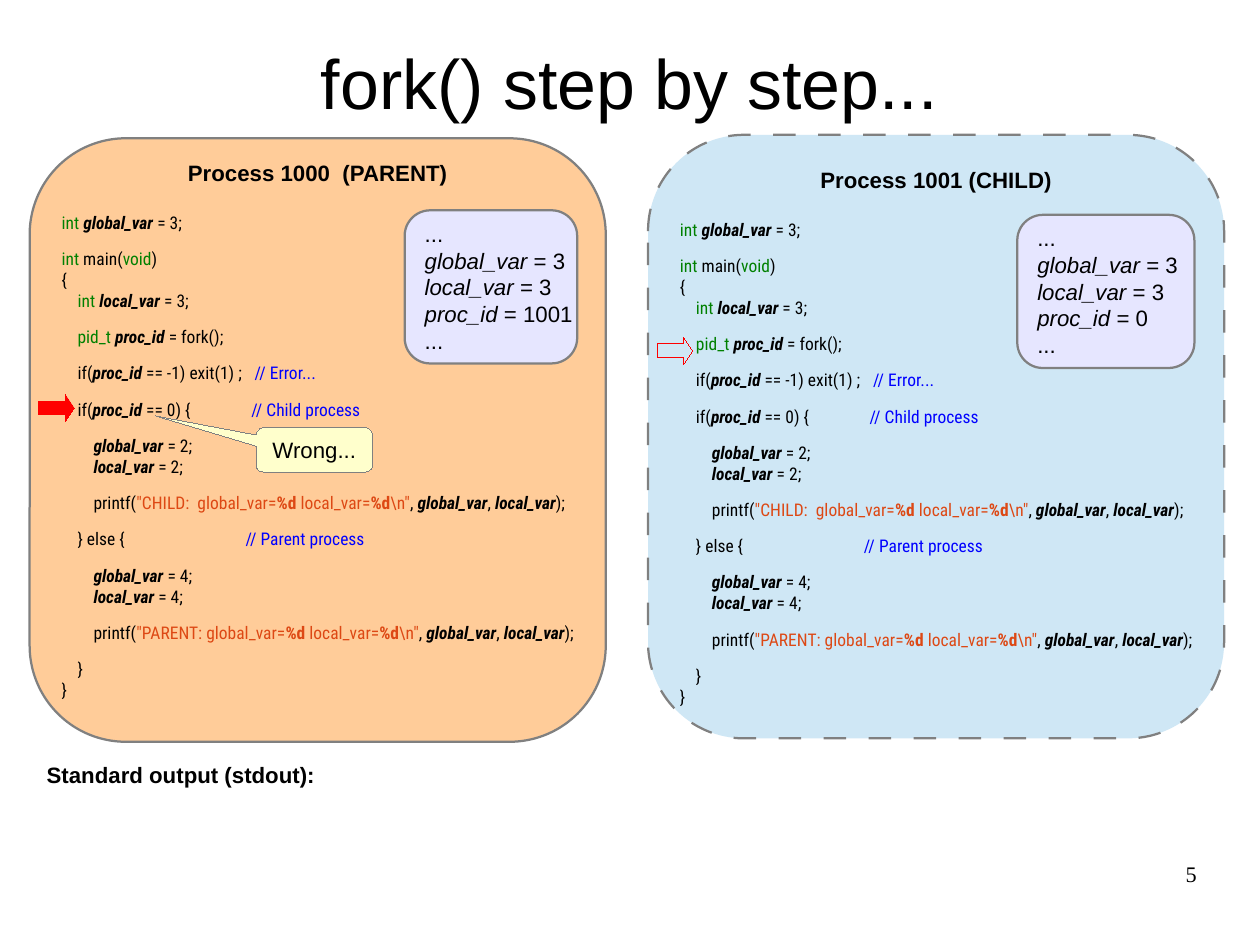
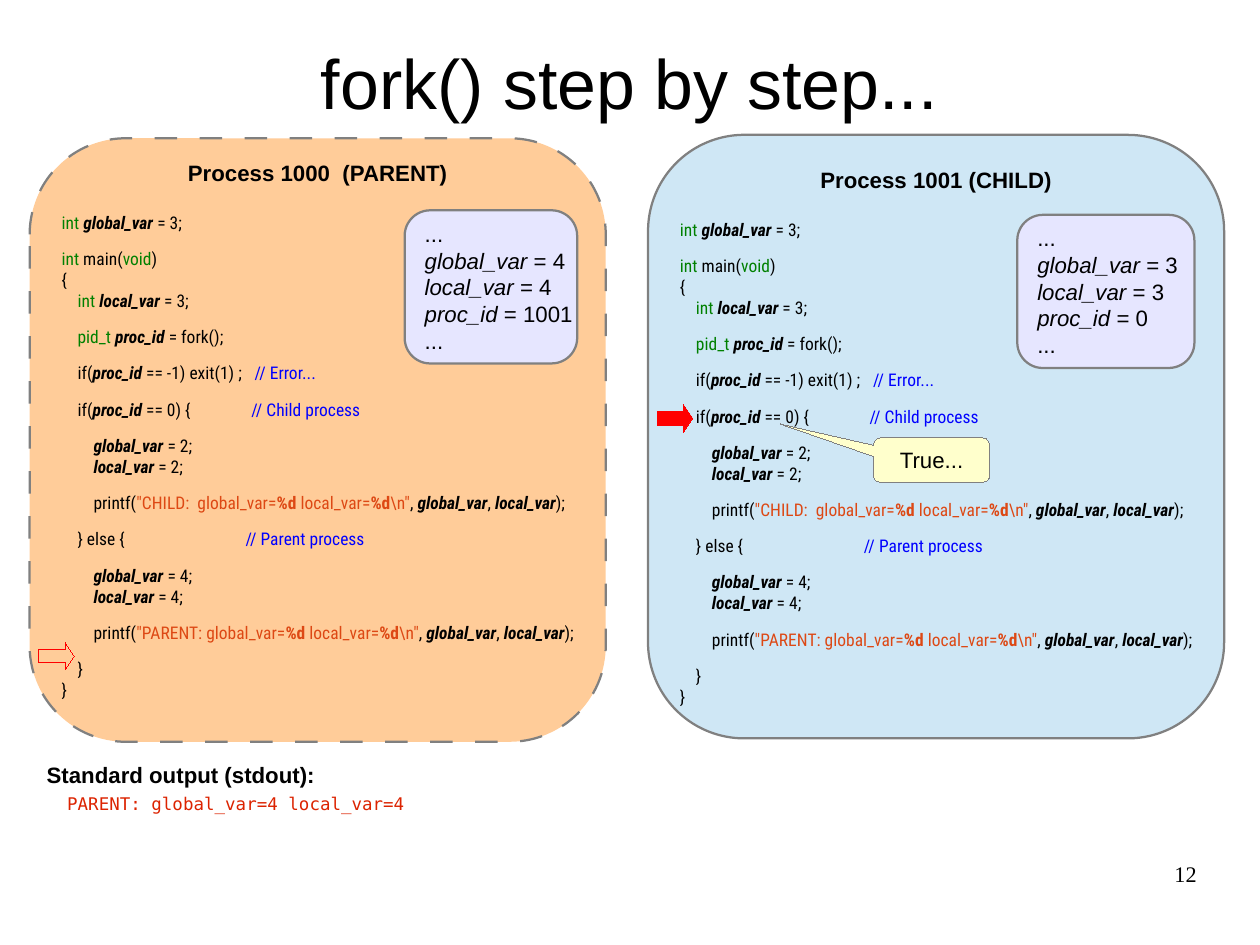
from dataclasses import dataclass
from typing import Optional

from lxml.etree import SubElement
from pptx import Presentation
from pptx.dml.color import RGBColor
from pptx.enum.shapes import MSO_SHAPE
from pptx.enum.text import MSO_ANCHOR, PP_ALIGN
from pptx.oxml.ns import qn
from pptx.util import Inches, Pt

BLACK = RGBColor(0x00, 0x00, 0x00)
GREY = RGBColor(0x80, 0x80, 0x80)
GREEN = RGBColor(0x00, 0x80, 0x00)
BLUE = RGBColor(0x00, 0x00, 0xFF)
ORANGE = RGBColor(0xDD, 0x48, 0x14)
RED = RGBColor(0xFF, 0x00, 0x00)
OUTPUT_RED = RGBColor(0xDC, 0x23, 0x00)
PEACH = RGBColor(0xFF, 0xCC, 0x99)
SKY = RGBColor(0xCF, 0xE7, 0xF5)
LAVENDER = RGBColor(0xE6, 0xE6, 0xFF)
CREAM = RGBColor(0xFF, 0xFF, 0xCC)

SANS = "Arial"
CODE = "Roboto Condensed"
MONO = "DejaVu Sans Mono"
SERIF = "Times New Roman"

CM_PER_INCH = 2.54
PAGE_CM = (28, 21)
TITLE = "fork() step by step..."
OUTLINE = 1.42
INDENT = 0.14
HEADING_GAP = 16.2
BLANK_GAP = 9.6
PANEL_SIZE = (5.04, 5.28)
ROUNDING = 0.167


@dataclass(frozen=True)
class Span:
    """A piece of code with one look."""

    text: str
    colour: RGBColor = BLACK
    bold: bool = False
    italic: bool = False


@dataclass(frozen=True)
class CodeLine:
    """A code line with its depth, gap above and optional comment."""

    spans: tuple[Span, ...]
    depth: int = 0
    gap: bool = False
    comment: str = ""
    comment_stop: float = 0


@dataclass(frozen=True)
class Process:
    """The fixed look and place of one process panel."""

    heading: str
    fill: RGBColor
    left: float
    top: float
    bottom_inset: float
    memory: tuple[float, float, float]
    arrow_left: float


@dataclass(frozen=True)
class ProcessState:
    """What one process shows at one step."""

    process: Process
    running: bool
    values: tuple[int, int, int]
    arrow_top: float


@dataclass(frozen=True)
class Callout:
    """A remark with its place and pointer."""

    text: str
    left: float
    top: float
    pointer: tuple[float, float]


@dataclass(frozen=True)
class Step:
    """The content of one slide."""

    number: int
    states: tuple[ProcessState, ...]
    callout: Callout
    output: Optional[str] = None


def keyword(text: str) -> Span:
    """Return a type name."""
    return Span(text, GREEN)


def variable(text: str) -> Span:
    """Return a variable name."""
    return Span(text, bold=True, italic=True)


def assignment(name: str, value: int, gap: bool = False) -> CodeLine:
    """Return a nested assignment."""
    return CodeLine((variable(name), Span(f" = {value};")), 2, gap)


def declaration(kind: str, name: str, value: str, depth: int, gap: bool = False) -> CodeLine:
    """Return a variable declaration."""
    return CodeLine((keyword(kind + " "), variable(name), Span(f" = {value};")), depth, gap)


def print_call(label: str) -> CodeLine:
    """Return a printf call that reports both variables."""
    marker = Span("%d", ORANGE, bold=True)
    return CodeLine((
        Span("printf("), Span(f'"{label}global_var=', ORANGE), marker,
        Span(" local_var=", ORANGE), marker, Span('\\n"', ORANGE), Span(", "),
        variable("global_var"), Span(", "), variable("local_var"), Span(");"),
    ), 2, True)


def condition(rest: str, comment: str, stop: float) -> CodeLine:
    """Return a test of the process number."""
    return CodeLine((Span("if("), variable("proc_id"), Span(rest)), 1, True, comment, stop)


PROGRAM = (
    declaration("int", "global_var", "3", 0),
    CodeLine((keyword("int"), Span(" main("), keyword("void"), Span(")")), gap=True),
    CodeLine((Span("{"),)),
    declaration("int", "local_var", "3", 1),
    declaration("pid_t", "proc_id", "fork()", 1, True),
    condition(" == -1) exit(1) ;", "// Error...", 1.69),
    condition(" == 0) {", "// Child process", 1.66),
    assignment("global_var", 2, True),
    assignment("local_var", 2),
    print_call("CHILD:  "),
    CodeLine((Span("} else {"),), 1, True, "// Parent process", 1.61),
    assignment("global_var", 4, True),
    assignment("local_var", 4),
    print_call("PARENT: "),
    CodeLine((Span("}"),), 1, True),
    CodeLine((Span("}"),)),
)

PARENT = Process("Process 1000  (PARENT)", PEACH, 0.26, 1.21, 0.24, (3.54, 1.84, 1.51), 0.34)
CHILD = Process("Process 1001 (CHILD)", SKY, 5.67, 1.18, 0.06, (8.9, 1.88, 1.55), 5.75)

STEPS = (
    Step(5,
         (ProcessState(CHILD, False, (3, 3, 0), 2.95),
          ProcessState(PARENT, True, (3, 3, 1001), 3.45)),
         Callout("Wrong...", 2.24, 3.74, (-1.36, -0.76))),
    Step(12,
         (ProcessState(CHILD, True, (3, 3, 0), 3.54),
          ProcessState(PARENT, False, (4, 4, 1001), 5.62)),
         Callout("True...", 7.64, 3.83, (-1.3, -0.81)),
         "PARENT: global_var=4 local_var=4"),
)


def add_span(para, text: str, *, size: float = 14, font: str = SANS,
             colour: RGBColor = BLACK, bold: bool = False, italic: bool = False) -> None:
    """Append formatted text to a paragraph."""
    span = para.add_run()
    span.text = text
    span.font.size = Pt(size)
    span.font.name = font
    span.font.color.rgb = colour
    span.font.bold = bold
    span.font.italic = italic


def set_frame(frame, insets: tuple[float, float, float, float], *, wrap: bool = True,
              anchor: MSO_ANCHOR = MSO_ANCHOR.TOP) -> None:
    """Set insets, wrapping and anchor of a text frame."""
    left, top, right, bottom = map(Inches, insets)
    frame.margin_left, frame.margin_top = left, top
    frame.margin_right, frame.margin_bottom = right, bottom
    frame.word_wrap = wrap
    frame.vertical_anchor = anchor


def add_box(page, kind: MSO_SHAPE, place: tuple[float, float, float, float],
            fill: Optional[RGBColor], line: RGBColor, width: float, adjustments: tuple[float, ...]):
    """Draw a preset shape without a shadow."""
    box = page.shapes.add_shape(kind, *map(Inches, place))
    box.shadow.inherit = False
    if fill is None:
        box.fill.background()
    else:
        box.fill.solid()
        box.fill.fore_color.rgb = fill
    box.line.color.rgb = line
    box.line._get_or_add_ln().set("w", str(Pt(width)))
    for index, value in enumerate(adjustments):
        box.adjustments[index] = value
    return box


def add_code_line(frame, line: CodeLine, gap: float) -> None:
    """Append one code line, set on tab stops."""
    para = frame.add_paragraph()
    para.alignment = PP_ALIGN.LEFT
    para.space_before = Pt(gap)
    stops = [INDENT * level for level in range(1, line.depth + 1)]
    if line.comment:
        stops.append(line.comment_stop)
    if stops:
        tabs = SubElement(para._p.get_or_add_pPr(), qn("a:tabLst"))
        for stop in stops:
            SubElement(tabs, qn("a:tab"), pos=str(Inches(stop)), algn="l")
    spans = list(line.spans)
    if line.depth:
        spans.insert(0, Span("\t" * line.depth))
    if line.comment:
        spans.append(Span("\t" + line.comment, BLUE))
    for span in spans:
        add_span(para, span.text, size=11, font=CODE, colour=span.colour,
                 bold=span.bold, italic=span.italic)


def add_panel(page, state: ProcessState) -> None:
    """Draw a process with its program, dashed while it waits."""
    process = state.process
    panel = add_box(page, MSO_SHAPE.ROUNDED_RECTANGLE, (process.left, process.top, *PANEL_SIZE),
                    process.fill, GREY, OUTLINE, (ROUNDING,))
    if not state.running:
        dashes = SubElement(panel.line._get_or_add_ln(), qn("a:custDash"))
        SubElement(dashes, qn("a:ds"), d="1000000", sp="1000000")
    frame = panel.text_frame
    set_frame(frame, (0.11, 0.06, 0.11, process.bottom_inset), wrap=False, anchor=MSO_ANCHOR.MIDDLE)
    frame.paragraphs[0].alignment = PP_ALIGN.CENTER
    add_span(frame.paragraphs[0], process.heading, bold=True)
    for index, line in enumerate(PROGRAM):
        add_code_line(frame, line, BLANK_GAP * line.gap if index else HEADING_GAP)


def add_memory(page, state: ProcessState) -> None:
    """Draw the variables that a process holds."""
    left, top, width = state.process.memory
    box = add_box(page, MSO_SHAPE.ROUNDED_RECTANGLE, (left, top, width, 1.34),
                  LAVENDER, GREY, OUTLINE, (ROUNDING,))
    frame = box.text_frame
    set_frame(frame, (0.11, 0.06, 0.11, 0.06), wrap=False, anchor=MSO_ANCHOR.MIDDLE)
    names = ("global_var", "local_var", "proc_id")
    values = [(name, f" = {value}") for name, value in zip(names, state.values)]
    for index, (name, value) in enumerate([("", "..."), *values, ("", "...")]):
        para = frame.add_paragraph() if index else frame.paragraphs[0]
        para.alignment = PP_ALIGN.LEFT
        if name:
            add_span(para, name, italic=True)
        add_span(para, value)


def add_process(page, state: ProcessState) -> None:
    """Draw a process panel, its memory and its position arrow."""
    add_panel(page, state)
    add_memory(page, state)
    add_box(page, MSO_SHAPE.RIGHT_ARROW, (state.process.arrow_left, state.arrow_top, 0.31, 0.24),
            RED if state.running else None, RED, 0, (0.5, 0.333))


def add_callout(page, callout: Callout) -> None:
    """Draw the remark on the current test."""
    box = add_box(page, MSO_SHAPE.ROUNDED_RECTANGULAR_CALLOUT,
                  (callout.left, callout.top, 1.02, 0.39), CREAM, GREY, 0,
                  (*callout.pointer, ROUNDING))
    set_frame(box.text_frame, (0.1, 0.05, 0.1, 0.05), wrap=False, anchor=MSO_ANCHOR.MIDDLE)
    para = box.text_frame.paragraphs[0]
    para.alignment = PP_ALIGN.CENTER
    add_span(para, callout.text)


def add_output(page, output: Optional[str]) -> None:
    """Write the standard output area."""
    box = page.shapes.add_textbox(*map(Inches, (0.31, 6.61, 10.47, 1.34)))
    set_frame(box.text_frame, (0.1, 0.05, 0.1, 0.05))
    add_span(box.text_frame.paragraphs[0], "Standard output (stdout):", bold=True)
    if output:
        para = box.text_frame.add_paragraph()
        para.space_before = Pt(3.5)
        para._p.get_or_add_pPr().set("marL", str(Inches(0.18)))
        add_span(para, output, size=11, font=MONO, colour=OUTPUT_RED)


def add_page(deck, step: Step) -> None:
    """Build one slide."""
    page = deck.slides.add_slide(deck.slide_layouts[5])
    title = page.shapes.title
    title.left, title.top, title.width, title.height = map(Inches, (0.55, 0.33, 9.92, 0.77))
    set_frame(title.text_frame, (0, 0, 0, 0), anchor=MSO_ANCHOR.MIDDLE)
    title.text_frame.paragraphs[0].alignment = PP_ALIGN.CENTER
    add_span(title.text_frame.paragraphs[0], TITLE, size=44)
    add_output(page, step.output)
    for state in step.states:
        add_process(page, state)
    add_callout(page, step.callout)
    number = page.shapes.add_textbox(*map(Inches, (7.9, 7.53, 2.57, 0.57)))
    set_frame(number.text_frame, (0, 0, 0, 0))
    number.text_frame.paragraphs[0].alignment = PP_ALIGN.RIGHT
    add_span(number.text_frame.paragraphs[0], str(step.number), font=SERIF)


def main() -> None:
    """Build and save the deck."""
    deck = Presentation()
    deck.slide_width, deck.slide_height = (Inches(side / CM_PER_INCH) for side in PAGE_CM)
    for step in STEPS:
        add_page(deck, step)
    deck.save("out.pptx")


if __name__ == "__main__":
    main()
